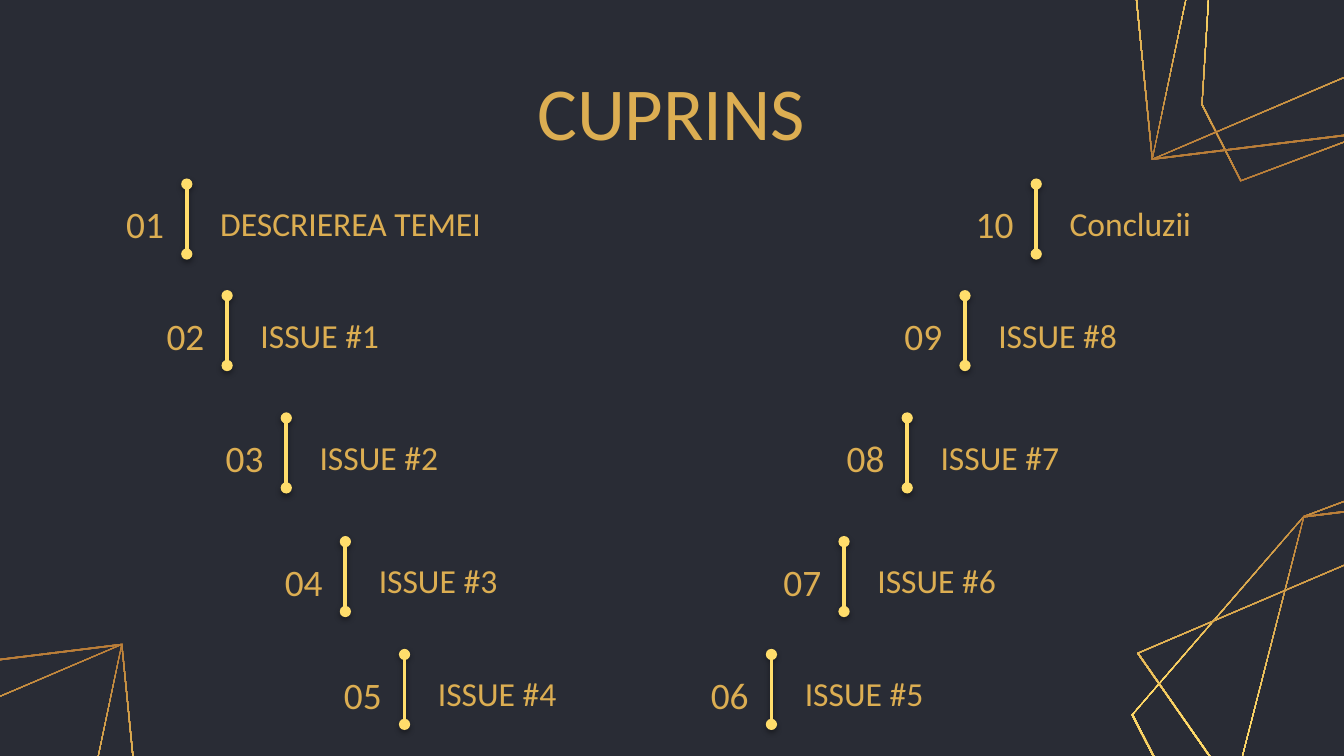
from dataclasses import dataclass

import pptx
import pptx.dml.color
import pptx.enum.text
import pptx.oxml
import pptx.oxml.ns
import pptx.util

# The grid has square cells: 100 columns by 56.25 rows.
WIDTH = pptx.util.Inches(10)
CELL = WIDTH / 100
ROWS = 56.25

DARK, GOLD, YELLOW = "292C35", "DCAE52", "FFDD6B"
BLEND = ((0, "AF7132"), (50, YELLOW), (100, GOLD))
SPACE = pptx.oxml.ns.nsdecls("a")

Point = tuple[float, float]
ALIGN = pptx.enum.text.PP_ALIGN


@dataclass
class Item:
    label: str
    col: float
    row: float


@dataclass
class Corner:
    """A set of polygons, turned by sign -1 and moved by (col, row)."""
    shapes: list[list[Point]]
    sign: int
    col: float
    row: float
    angle: float


TOPS = [13.7, 22, 31.1, 40.3, 48.7]
LEFT = [13.9, 16.9, 21.3, 25.7, 30.1]
RIGHT = [57.4, 62.8, 67.5, 71.8, 77.1]
LABELS = ["DESCRIEREA TEMEI", *(f"ISSUE #{n}" for n in range(1, 9)), "Concluzii"]
ITEMS = [Item(*parts) for parts in zip(LABELS, LEFT + RIGHT, TOPS + TOPS[::-1])]

HEXAGON = [(90.2, 64.9), (84.2, 53.2), (97, 38.4), (106.6, 34.8), (109.5, 40.5), (108.3, 59.7)]
PENTAGON = [(98.9, 69.1), (90.2, 64.9), (97, 38.4), (113.2, 36.4), (108.3, 59.7)]
QUAD = [(98.9, 69.1), (84.6, 48.6), (113.2, 36.4), (114.5, 49.5)]
CORNERS = [
    Corner([HEXAGON, PENTAGON, QUAD], 1, 0, 0, 84.4),
    Corner([HEXAGON, PENTAGON, QUAD], -1, 198.9, 48.3, 264.4),
    Corner([PENTAGON, QUAD], 1, -104.1, 11.5, 84.4),
]


def grid(count: float) -> int:
    return round(count * CELL)


def paint(target, color: str) -> None:
    target.rgb = pptx.dml.color.RGBColor.from_string(color)


def add_xml(parent, text: str) -> None:
    parent.append(pptx.oxml.parse_xml(text))


def add_text(slide, text: str, box: tuple[float, ...], size: int, align) -> None:
    shape = slide.shapes.add_textbox(*map(grid, box))
    frame = shape.text_frame
    frame.word_wrap = True
    frame.vertical_anchor = pptx.enum.text.MSO_ANCHOR.MIDDLE
    frame.margin_left = frame.margin_right = grid(1)
    frame.margin_top = frame.margin_bottom = grid(1)
    frame.text = text
    line = frame.paragraphs[0]
    line.alignment = align
    font = line.runs[0].font
    font.name, font.size = "Calibri", pptx.util.Pt(size)
    paint(font.color, GOLD)


def add_bar(slide, col: float, row: float) -> None:
    """Draw an upright line with round ends and a soft shadow."""
    bar = slide.shapes.add_connector(
        pptx.enum.shapes.MSO_CONNECTOR.STRAIGHT,
        grid(col), grid(row), grid(col), grid(row + 5.2))
    bar.line.width = pptx.util.Pt(2)
    paint(bar.line.color, YELLOW)
    props = bar._element.spPr
    for end in ("headEnd", "tailEnd"):
        add_xml(props.ln, f'<a:{end} {SPACE} type="oval"/>')
    blur, drop = pptx.util.Pt(3.1), pptx.util.Pt(1.6)
    add_xml(props, f'<a:effectLst {SPACE}><a:outerShdw blurRad="{blur}" dist="{drop}" '
                   'dir="5400000" rotWithShape="0"><a:srgbClr val="000000">'
                   '<a:alpha val="38000"/></a:srgbClr></a:outerShdw></a:effectLst>')


def add_ring(slide, points: list[Point], angle: float) -> None:
    """Draw a thin polygon outline as the gap between two contours."""
    mid = [sum(axis) / len(points) for axis in zip(*points)]
    build = None
    for share in (1, 0.993):
        path = [tuple(grid(m + (v - m) * share) for v, m in zip(point, mid))
                for point in points]
        if build is None:
            build = slide.shapes.build_freeform(*path[0])
        else:
            build.move_to(*path[0])
        build.add_line_segments(path[1:], close=True)
    ring = build.convert_to_shape()
    ring.shadow.inherit = False
    ring.line.fill.background()
    stops = "".join(f'<a:gs pos="{pos * 1000}"><a:srgbClr val="{color}"/></a:gs>'
                    for pos, color in BLEND)
    fill = pptx.oxml.parse_xml(
        f'<a:gradFill {SPACE}><a:gsLst>{stops}</a:gsLst>'
        f'<a:lin ang="{round(angle * 60000)}" scaled="0"/></a:gradFill>')
    ring._element.spPr.ln.addprevious(fill)


def add_corner(slide, corner: Corner) -> None:
    for shape in corner.shapes:
        points = [(corner.col + corner.sign * x, corner.row + corner.sign * y)
                  for x, y in shape]
        add_ring(slide, points, corner.angle)


def add_item(slide, number: int, item: Item) -> None:
    top = item.row + 0.65
    add_text(slide, item.label, (item.col + 1.5, top - 0.05, 27, 4.6), 18, ALIGN.LEFT)
    add_text(slide, f"{number:02}", (item.col - 7.3, top, 6.6, 4.6), 20, ALIGN.RIGHT)
    add_bar(slide, item.col, item.row)


def main() -> None:
    deck = pptx.Presentation()
    deck.slide_width, deck.slide_height = WIDTH, grid(ROWS)
    slide = deck.slides.add_slide(deck.slide_layouts[6])
    back = slide.background.fill
    back.solid()
    paint(back.fore_color, DARK)
    for corner in CORNERS:
        add_corner(slide, corner)
    add_text(slide, "CUPRINS", (21.8, 5.9, 56.3, 4.7), 40, ALIGN.CENTER)
    for number, item in enumerate(ITEMS, 1):
        add_item(slide, number, item)
    deck.save("out.pptx")


if __name__ == "__main__":
    import pptx.enum.shapes
    main()
